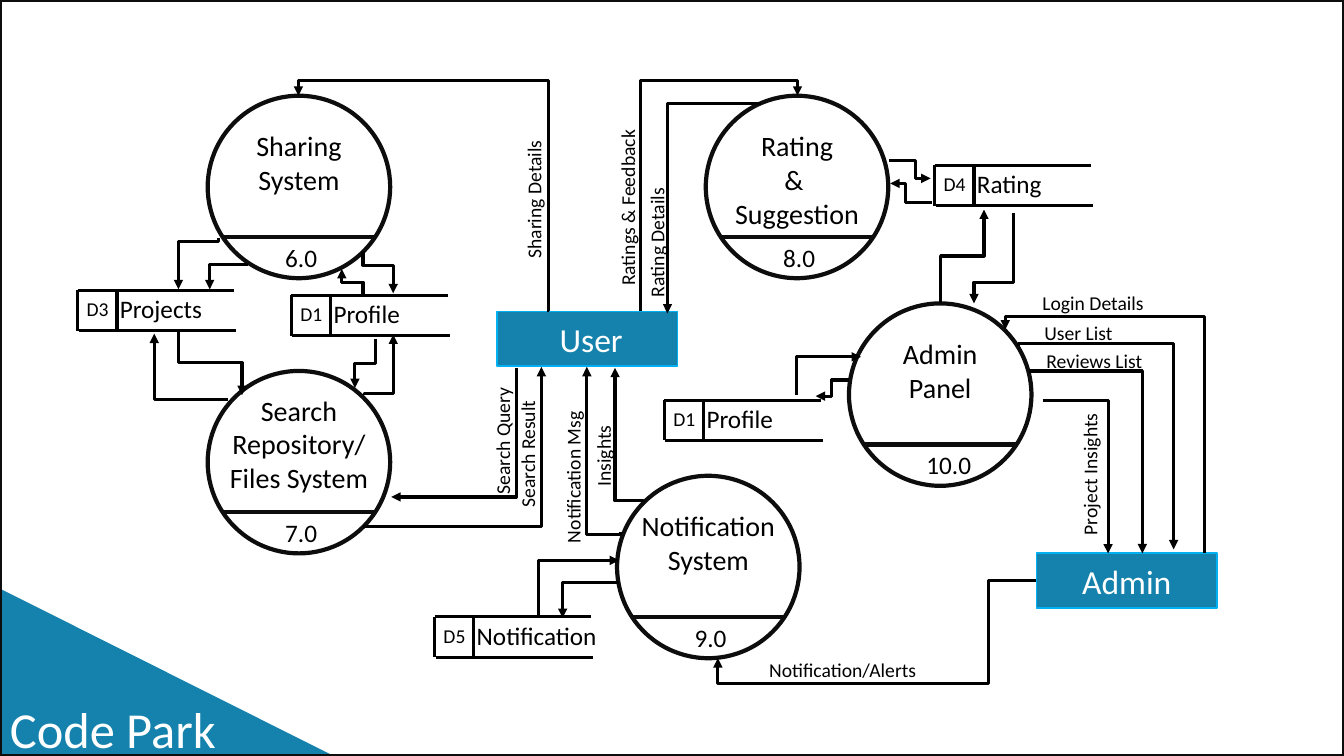
from pptx import Presentation
from pptx.dml.color import RGBColor
from pptx.enum.shapes import MSO_CONNECTOR, MSO_SHAPE
from pptx.enum.text import MSO_ANCHOR, PP_ALIGN
from pptx.oxml import parse_xml
from pptx.oxml.ns import nsdecls, qn
from pptx.util import Inches, Pt

LINE, ELBOW = MSO_CONNECTOR.STRAIGHT, MSO_CONNECTOR.ELBOW
OVAL, RECT, WEDGE = MSO_SHAPE.OVAL, MSO_SHAPE.RECTANGLE, MSO_SHAPE.RIGHT_TRIANGLE
LEFT, MID = PP_ALIGN.LEFT, PP_ALIGN.CENTER
TOP, CENTER = MSO_ANCHOR.TOP, MSO_ANCHOR.MIDDLE
INK = {"text": "000000", "flow": "000000", "ring": "0D0D0D",
       "fill": "1482AC", "edge": "00B0F0", "light": "FFFFFF"}
WIDE, HIGH = 13.33, 7.5
SIDE = 1.81  # circle diameter


def color(key):
    return RGBColor.from_string(INK[key])


def apply(item, form):
    for key, value in form.items():
        setattr(item, key, value)


def write(shape, text, size, ink="text", align=LEFT, anchor=TOP):
    frame = shape.text_frame
    apply(frame, {"word_wrap": True, "vertical_anchor": anchor, "text": text})
    for para in frame.paragraphs:
        para.alignment = align
        apply(para.font, {"name": "Calibri", "size": Pt(size)})
        para.font.color.rgb = color(ink)


def label(slide, box, text, size, turn=0, **form):
    shape = slide.shapes.add_textbox(*map(Inches, box))
    shape.rotation = turn
    write(shape, text, size, **form)


def block(slide, kind, box, fill=None, edge=None, width=1):
    shape = slide.shapes.add_shape(kind, *map(Inches, box))
    shape.shadow.inherit = False
    for part, key in ((shape.fill, fill), (shape.line.fill, edge)):
        if key:
            part.solid()
            part.fore_color.rgb = color(key)
        else:
            part.background()
    if edge:
        shape.line.width = Pt(width)
    return shape


def stroke(slide, ends, ink="flow", width=2.25, kind=LINE):
    line = slide.shapes.add_connector(kind, *map(Inches, ends))
    line.line.color.rgb = color(ink)
    line.line.width = Pt(width)
    line.element.spPr.append(parse_xml(f"<a:effectLst {nsdecls('a')}/>"))
    return line


def flow(slide, axis, start, end, *turns):
    """Elbow arrow; axis is its first direction, turns are where it bends."""
    (x1, y1), (x2, y2) = start, end
    dx, dy = x2 - x1, y2 - y1
    if axis == "h":
        spin, wide, high = 180 * (dx < 0), abs(dx), abs(dy)
        flips = False, (dy < 0) != (dx < 0)
        bases = (x1, dx), (y1, dy)
    else:
        over = dx * dy > 0
        spin, wide, high = 270 if over else 90, abs(dy), abs(dx)
        flips = (dy < 0) != over, (dx > 0) != over
        bases = (y1, dy), (x1, dx)
    left, top = (x1 + x2 - wide) / 2, (y1 + y2 - high) / 2
    line = stroke(slide, (left, top, left + wide, top + high), kind=ELBOW)
    props = line.element.spPr
    frame, geom = props.find(qn("a:xfrm")), props.find(qn("a:prstGeom"))
    frame.set("rot", str(spin * 60000))
    for key, on in zip(("flipH", "flipV"), flips):
        frame.set(key, str(int(on)))
    geom.set("prst", f"bentConnector{len(turns) + 2}")
    for num, (turn, (base, span)) in enumerate(zip(turns, bases), 1):
        ratio = round((turn - base) / span * 100000)
        geom.find(qn("a:avLst")).append(parse_xml(
            f'<a:gd {nsdecls("a")} name="adj{num}" fmla="val {ratio}"/>'))
    props.find(qn("a:ln")).append(
        parse_xml(f'<a:tailEnd {nsdecls("a")} type="triangle"/>'))


def process(slide, x, y, num, text, drop=0.28):
    block(slide, OVAL, (x, y, SIDE, SIDE), edge="ring", width=3)
    stroke(slide, (x + 0.15, y + 1.4, x + 1.66, y + 1.4), "ring", 3)
    label(slide, (x + 0.67, y + 1.4, 0.67, 0.4), num, 18)
    rows = text.count("\n") + 1
    label(slide, (x, y + drop, SIDE, 0.1 + rows / 3), text, 20, align=MID)


def store(slide, x, y, code, name):
    for ends in ((0, 0, 1.55, 0), (0.01, 0.4, 1.57, 0.4),
                 (0, 0, 0, 0.4), (0.39, 0, 0.39, 0.4)):
        stroke(slide, [a + b for a, b in zip(ends, (x, y, x, y))])
    label(slide, (x + 0.32, y - 0.02, 1.42, 0.4), name, 18)
    label(slide, (x - 0.01, y + 0.02, 0.51, 0.34), code, 14)


def entity(slide, x, y, name):
    shape = block(slide, RECT, (x, y, 1.79, 0.54), "fill", "edge", 1.25)
    write(shape, name, 24, "light", MID, CENTER)


def brand(slide, x, y):
    block(slide, WEDGE, (x, y, 3.31, 1.66), "fill")
    label(slide, (x, y + 1.04, 2.96, 0.71), "Code Park", 36, ink="light")


PROCESSES = [
    (2.06, 0.95, "6.0", "Sharing\nSystem"),
    (2.06, 3.68, "7.0", "Search\nRepository/\nFiles System", 0.17),
    (7, 0.95, "8.0", "Rating\n& \nSuggestion"),
    (6.12, 4.72, "9.0", "Notification\nSystem"),
    (8.42, 3.01, "10.0", "Admin\nPanel"),
]
STORES = [
    (0.77, 2.88, "D3", "Projects"), (2.89, 2.93, "D1", "Profile"),
    (9.27, 1.64, "D4", "Rating"), (6.59, 3.97, "D1", "Profile"),
    (4.31, 6.12, "D5", "Notification"),
]
ENTITIES = [(4.93, 3.09, " User"), (10.28, 5.49, "Admin")]
FLOWS = [
    # User with sharing, rating, search and notification
    ("h", (5.43, 3.08), (2.96, 0.95), 5.44, 0.8),
    ("v", (6.35, 3.09), (7.91, 0.95), 0.8),
    ("v", (7.53, 1.04), (6.62, 3.11), 1.03),
    ("v", (5.12, 3.65), (3.88, 4.93)),
    ("h", (3.6, 5.22), (5.37, 3.64)),
    ("v", (6.15, 5.28), (5.82, 3.64), 5.3),
    ("v", (6.38, 4.98), (6.1, 3.65), 4.97),
    # Sharing and search with projects and profile
    ("v", (2.17, 2.36), (1.77, 2.87), 2.4),
    ("h", (2.46, 2.62), (2.08, 2.87)),
    ("v", (3.6, 2.49), (3.9, 2.91), 2.63),
    ("v", (3.6, 2.93), (3.39, 2.67), 2.8),
    ("v", (1.77, 3.27), (2.4, 3.92), 3.6),
    ("h", (2.26, 3.96), (1.53, 3.31)),
    ("v", (3.72, 3.36), (3.52, 3.85), 3.61),
    ("v", (3.62, 3.92), (3.9, 3.32), 3.9),
    # Rating store, notification store, admin profile
    ("h", (8.82, 1.59), (9.23, 1.77), 9.08),
    ("h", (9.24, 2.01), (8.83, 1.82), 8.98),
    ("v", (9.33, 3.01), (9.76, 2.08), 2.54),
    ("v", (10.05, 2.11), (9.66, 3.01), 2.8),
    ("v", (5.34, 6.1), (6.14, 5.56)),
    ("h", (6.14, 5.78), (5.58, 6.13)),
    ("v", (7.9, 3.92), (8.54, 3.54)),
    ("h", (8.42, 3.77), (8.09, 3.93), 8.25),
    # Admin with panel and notification
    ("v", (11.95, 5.49), (9.97, 3.27), 3.14),
    ("v", (10.1, 3.43), (11.64, 5.45), 3.41),
    ("h", (10.21, 3.68), (11.33, 5.49)),
    ("h", (10.34, 3.97), (10.99, 5.49)),
    ("h", (10.28, 5.76), (7.12, 6.53), 9.8, 6.78),
]
UPRIGHT = [
    (4.45, 1.65, 1.69, "Sharing Details"),
    (5.01, 1.55, 2.43, "Ratings & Feedback"),
    (5.3, 1.66, 2.43, "Rating Details"),
    (3.77, 3.62, 2.43, "Search Query"),
    (4.02, 3.75, 2.43, "Search Result"),
    (4.54, 4.17, 2.29, "Notification Msg"),
    (4.84, 3.61, 2.29, "Insights"),
    (9.82, 4.25, 1.98, "Project Insights"),
]
LEVEL = [
    (10.24, 2.84, 1.98, "Login Details"), (10.26, 3.13, 1.98, "User List"),
    (10.28, 3.41, 1.98, "Reviews List"),
    (7.53, 6.48, 2.05, "Notification/Alerts"),
]


def diagram(slide):
    for part, rows in ((process, PROCESSES), (store, STORES),
                       (entity, ENTITIES), (flow, FLOWS)):
        for row in rows:
            part(slide, *row)
    for turn, rows in ((270, UPRIGHT), (0, LEVEL)):
        for x, y, wide, text in rows:
            label(slide, (x, y, wide, 0.34), text, 14, turn)


deck = Presentation()
apply(deck, {"slide_width": Inches(WIDE), "slide_height": Inches(HIGH)})
page = deck.slides.add_slide(deck.slide_layouts[6])
brand(page, 0, 5.84)
diagram(page)
block(page, RECT, (0, 0, WIDE, HIGH), edge="ring", width=2.25)
deck.save("out.pptx")
